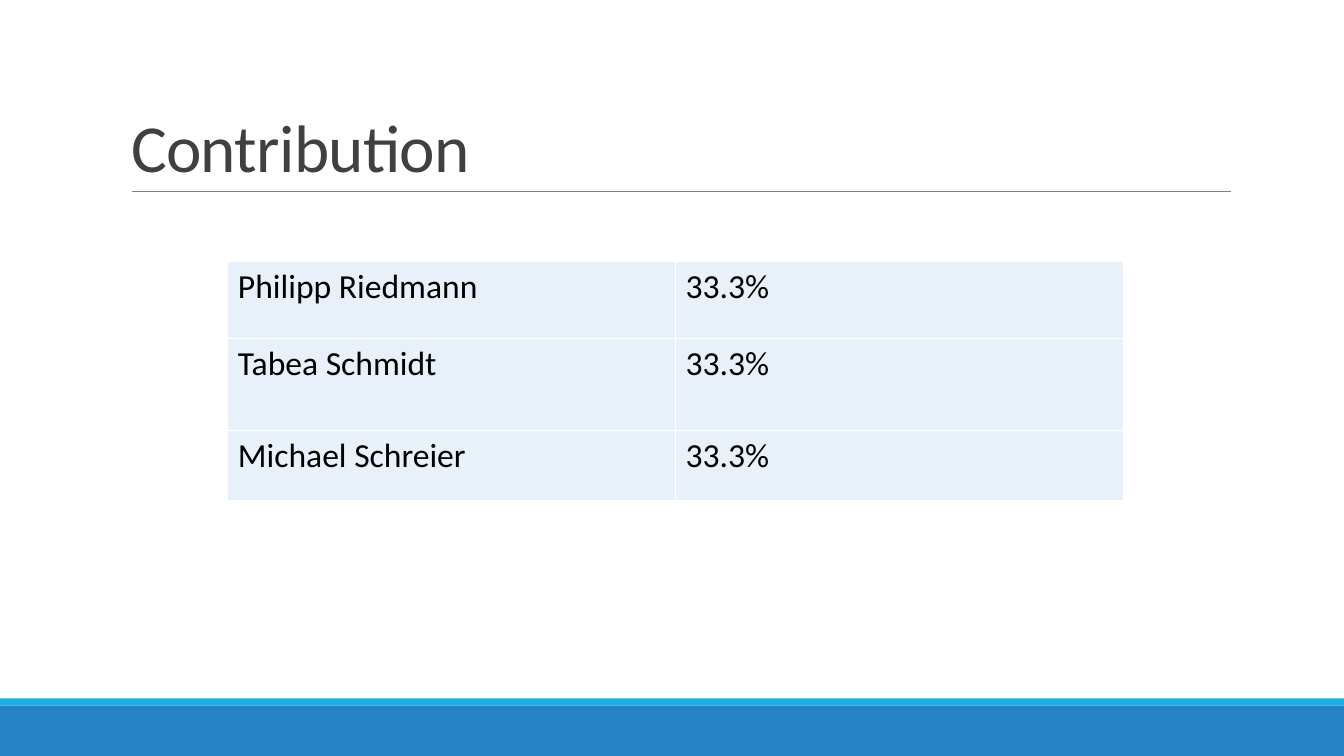
from pptx import Presentation
from pptx.dml.color import RGBColor
from pptx.enum.shapes import MSO_CONNECTOR, MSO_SHAPE
from pptx.enum.text import MSO_ANCHOR, MSO_AUTO_SIZE, PP_ALIGN
from pptx.oxml import parse_xml
from pptx.oxml.ns import nsdecls
from pptx.util import Inches, Pt

THEME = {
    "font": "Calibri", "title_size": 48, "cell_size": 24, "rule_width": 0.5,
    "title": "404040", "text": "000000", "rule": "808080", "cell": "E8F1FA",
    "border": "FFFFFF", "footer": "2683C6", "stripe": "1CADE4",
}


def color(key):
    return RGBColor.from_string(THEME[key])


def write(tf, text, size, color_key):
    p = tf.paragraphs[0]
    p.alignment = PP_ALIGN.LEFT
    r = p.add_run()
    r.text = text
    font = {"name": THEME["font"], "size": Pt(THEME[size]), "bold": False}
    for name, value in font.items():
        setattr(r.font, name, value)
    r.font.color.rgb = color(color_key)
    return p, r


prs = Presentation()
prs.slide_width, prs.slide_height = Inches(13.33), Inches(7.5)
s = prs.slides.add_slide(prs.slide_layouts[5])

for key, top, height in (("footer", 7, 0.5), ("stripe", 6.93, 0.07)):
    sp = s.shapes.add_shape(MSO_SHAPE.RECTANGLE, 0, Inches(top), prs.slide_width, Inches(height))
    sp.shadow.inherit = False
    sp.fill.solid()
    sp.fill.fore_color.rgb = color(key)
    sp.line.fill.background()

rule = s.shapes.add_connector(
    MSO_CONNECTOR.STRAIGHT, Inches(1.31), Inches(1.9), Inches(12.21), Inches(1.9))
rule.line.color.rgb = color("rule")
rule.line.width = Pt(THEME["rule_width"])
rule._element.spPr.append(parse_xml(f"<a:effectLst {nsdecls('a')}/>"))

title = s.shapes.title
box = {"left": 1.2, "top": 0.31, "width": 11, "height": 1.59}
for name, value in box.items():
    setattr(title, name, Inches(value))
tf = title.text_frame
frame = {"vertical_anchor": MSO_ANCHOR.BOTTOM, "word_wrap": True, "auto_size": MSO_AUTO_SIZE.NONE}
for name, value in frame.items():
    setattr(tf, name, value)
p, r = write(tf, "Contribution", "title_size", "title")
p.line_spacing = 0.85
r.font._element.set("spc", "-50")

contributors = ["Philipp Riedmann", "Tabea Schmidt", "Michael Schreier"]
row_heights = [0.77, 0.91, 0.7]
table = s.shapes.add_table(
    len(contributors), 2, Inches(2.26), Inches(2.59), Inches(8.88), Inches(sum(row_heights))).table
table.first_row = table.horz_banding = False
for column in table.columns:
    column.width = Inches(4.44)
for row, height, contributor in zip(table.rows, row_heights, contributors):
    row.height = Inches(height)
    for cell, text in zip(row.cells, (contributor, "33.3%")):
        tcPr = cell._tc.get_or_add_tcPr()
        for side in "LRTB":
            tcPr.append(parse_xml(
                f'<a:ln{side} {nsdecls("a")} w="12700"><a:solidFill>'
                f'<a:srgbClr val="{THEME["border"]}"/></a:solidFill></a:ln{side}>'))
        cell.fill.solid()
        cell.fill.fore_color.rgb = color("cell")
        write(cell.text_frame, text, "cell_size", "text")

prs.save("out.pptx")
